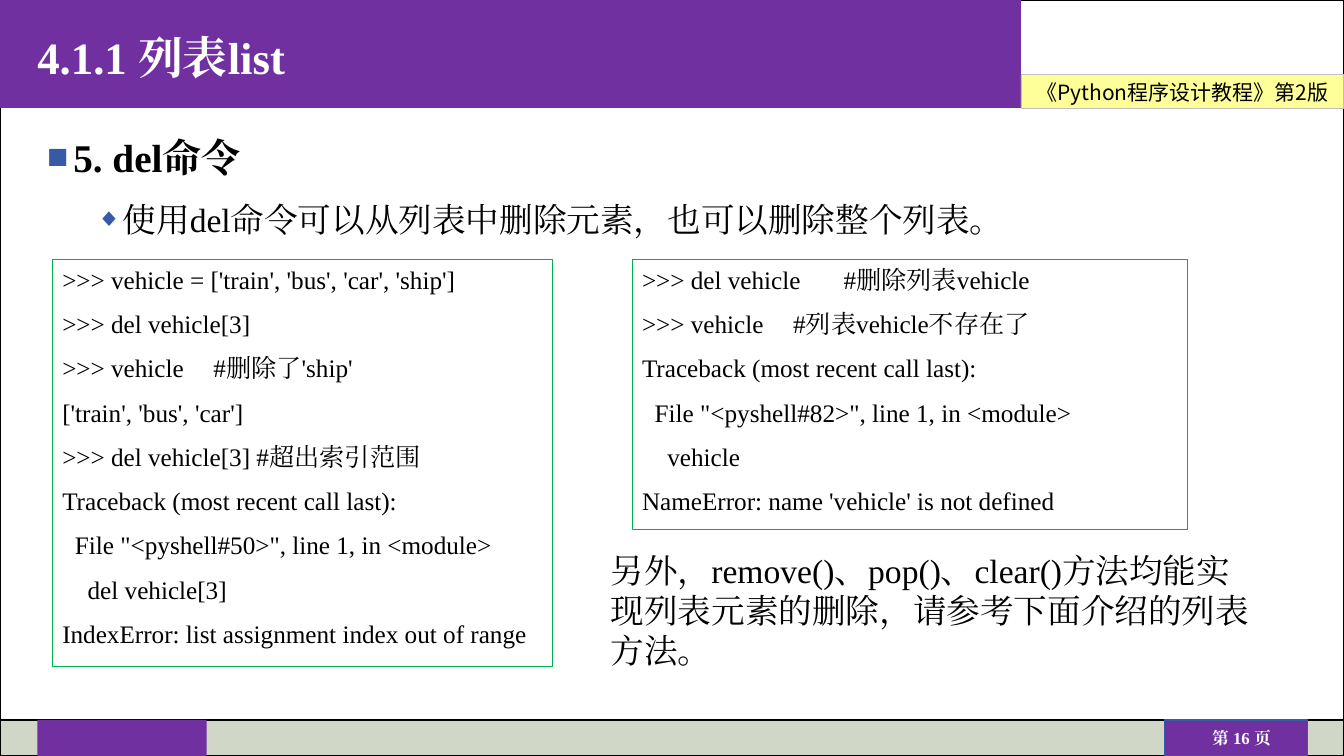
from dataclasses import dataclass

from lxml import etree
from pptx import Presentation
from pptx import util as u
from pptx.dml.color import RGBColor
from pptx.enum import shapes, text
from pptx.oxml import ns

SERIF, SANS = "Times New Roman", "Noto Sans CJK SC"
PURPLE, BLUE, GREEN = "7030A0", "365AA8", "00B050"
BLACK, WHITE = "000000", "FFFFFF"
SLIDE_W, SLIDE_H = 33.87, 19.05
HEADER_W, HEADER_H = 25.73, 2.72
FOOTER_Y, FOOTER_H = 18.14, 0.91
MARGIN = 0.94


@dataclass(frozen=True)
class Area:
    """Lengths in centimetres."""
    left: float
    top: float
    width: float
    height: float


@dataclass(frozen=True)
class Panel:
    area: Area
    fill: str | None = None
    line: str | None = None
    line_pt: float = 1


@dataclass(frozen=True)
class Line:
    """One paragraph; indent, hang and tab are centimetres, spacing is points."""
    words: str
    size: float
    color: str = BLACK
    bold: bool = False
    font: str = SERIF
    centred: bool = False
    leading: float = 1.0
    before: float = 0
    after: float = 0
    indent: float = 0
    hang: float = 0
    tab: float = 0
    bullet: str = ""
    bullet_pct: int = 100


@dataclass(frozen=True)
class Code:
    words: str
    depth: int = 0
    tab: float = 0


def rgb(value: str) -> RGBColor:
    return RGBColor.from_string(value)


def corners(area: Area) -> list[int]:
    return [u.Cm(n) for n in (area.left, area.top, area.width, area.height)]


def add_panel(page, panel: Panel):
    box = page.shapes.add_shape(shapes.MSO_SHAPE.RECTANGLE, *corners(panel.area))
    box.shadow.inherit = False
    if panel.fill:
        box.fill.solid()
        box.fill.fore_color.rgb = rgb(panel.fill)
    else:
        box.fill.background()
    if panel.line:
        box.line.color.rgb = rgb(panel.line)
        box.line.width = u.Pt(panel.line_pt)
    else:
        box.line.fill.background()
    return box


def add_text_box(page, area: Area):
    return page.shapes.add_textbox(*corners(area))


def style_paragraph(para, line: Line) -> None:
    para.text = line.words
    para.alignment = text.PP_ALIGN.CENTER if line.centred else text.PP_ALIGN.LEFT
    para.line_spacing = line.leading
    para.space_before, para.space_after = u.Pt(line.before), u.Pt(line.after)
    font = para.font
    font.name, font.size, font.bold = line.font, u.Pt(line.size), line.bold
    font.color.rgb = rgb(line.color)

    props = para._p.get_or_add_pPr()
    props.set("marL", str(u.Cm(line.indent)))
    props.set("indent", str(-u.Cm(line.hang)))
    defaults = props.find(ns.qn("a:defRPr"))
    etree.SubElement(defaults, ns.qn("a:ea"), typeface=line.font)

    def add_before_defaults(tag: str, **attributes: str):
        node = etree.Element(ns.qn(tag), **attributes)
        defaults.addprevious(node)
        return node

    if line.bullet:
        tint = add_before_defaults("a:buClr")
        etree.SubElement(tint, ns.qn("a:srgbClr"), val=BLUE)
        add_before_defaults("a:buSzPct", val=str(line.bullet_pct * 1000))
        add_before_defaults("a:buFont", typeface=line.font)
        add_before_defaults("a:buChar", char=line.bullet)
    if line.tab:
        stops = add_before_defaults("a:tabLst")
        etree.SubElement(stops, ns.qn("a:tab"), pos=str(u.Cm(line.tab)), algn="l")


def write(box, lines: list[Line], inset: tuple[float, float] = (0.25, 0.13),
          middle: bool = False, wrap: bool = True) -> None:
    frame = box.text_frame
    frame.word_wrap = wrap
    frame.vertical_anchor = text.MSO_ANCHOR.MIDDLE if middle else text.MSO_ANCHOR.TOP
    frame.margin_left = frame.margin_right = u.Cm(inset[0])
    frame.margin_top = frame.margin_bottom = u.Cm(inset[1])
    for index, line in enumerate(lines):
        para = frame.add_paragraph() if index else frame.paragraphs[0]
        style_paragraph(para, line)


def add_listing(page, area: Area, listing: list[Code]) -> None:
    box = add_panel(page, Panel(area, line=GREEN, line_pt=0.75))
    write(box, [Line(code.words, 18, before=10, indent=0.32 * code.depth, tab=code.tab)
                for code in listing])


DELETE_ITEM = [
    Code(">>> vehicle = ['train', 'bus', 'car', 'ship']"),
    Code(">>> del vehicle[3]"),
    Code(">>> vehicle\t#删除了'ship'", tab=3.38),
    Code("['train', 'bus', 'car']"),
    Code(">>> del vehicle[3] #超出索引范围"),
    Code("Traceback (most recent call last):"),
    Code('File "<pyshell#50>", line 1, in <module>', depth=1),
    Code("del vehicle[3]", depth=2),
    Code("IndexError: list assignment index out of range"),
]
DELETE_LIST = [
    Code(">>> del vehicle\t#删除列表vehicle", tab=4.64),
    Code(">>> vehicle\t#列表vehicle不存在了", tab=4.34),
    Code("Traceback (most recent call last):"),
    Code('File "<pyshell#82>", line 1, in <module>', depth=1),
    Code("vehicle", depth=2),
    Code("NameError: name 'vehicle' is not defined"),
]


def add_frame(page) -> None:
    """Draws the border, header and footer bands."""
    for panel in (
        Panel(Area(0, 0, SLIDE_W, SLIDE_H), line=BLACK),
        Panel(Area(30.02, FOOTER_Y, 3.84, FOOTER_H), line=BLACK),
        Panel(Area(0, FOOTER_Y, SLIDE_W, FOOTER_H), "D1D7C7", BLACK),
        Panel(Area(0, 0, HEADER_W, HEADER_H), PURPLE),
        Panel(Area(29.34, FOOTER_Y, 3.61, FOOTER_H), PURPLE, BLUE),
        Panel(Area(MARGIN, FOOTER_Y, 4.27, FOOTER_H), PURPLE),
    ):
        add_panel(page, panel)
    book = add_panel(page, Panel(Area(HEADER_W, 1.88, 8.13, 0.86), "FFFF99", "C0C0C0", 0.5))
    write(book, [Line("《Python程序设计教程》第2版", 15, font=SANS, centred=True)],
          (0.13, 0.1), middle=True, wrap=False)
    number = add_text_box(page, Area(29.62, 18.31, 3.33, 0.56))
    write(number, [Line("第 16 页", 12, WHITE, True, centred=True)], (0.15, 0.03))


def main() -> None:
    deck = Presentation()
    deck.slide_width, deck.slide_height = u.Cm(SLIDE_W), u.Cm(SLIDE_H)
    page = deck.slides.add_slide(deck.slide_layouts[6])
    add_frame(page)
    title = add_text_box(page, Area(MARGIN, 0, 24.82, HEADER_H))
    write(title, [Line("4.1.1\t列表list", 32, WHITE, True, leading=1.1, tab=2.82)],
          (0, 0), middle=True)
    body = add_text_box(page, Area(MARGIN, 3.12, 32, 3.2))
    write(body, [
        Line("5. del命令", 28, bold=True, leading=1.1, before=5, after=5,
             indent=0.66, hang=0.66, bullet="■", bullet_pct=90),
        Line("使用del命令可以从列表中删除元素，也可以删除整个列表。", 24, leading=1.1,
             before=5, after=5, indent=1.9, hang=0.66, bullet="◆", bullet_pct=75),
    ])
    add_listing(page, Area(1.32, 6.53, 12.6, 10.26), DELETE_ITEM)
    add_listing(page, Area(15.93, 6.53, 14, 6.81), DELETE_LIST)
    note = add_text_box(page, Area(15.14, 13.72, 16.94, 3.33))
    write(note, [Line("另外，remove()、pop()、clear()方法均能实现列表元素的删除，"
                      "请参考下面介绍的列表方法。", 24)])
    deck.save("out.pptx")


if __name__ == "__main__":
    main()
